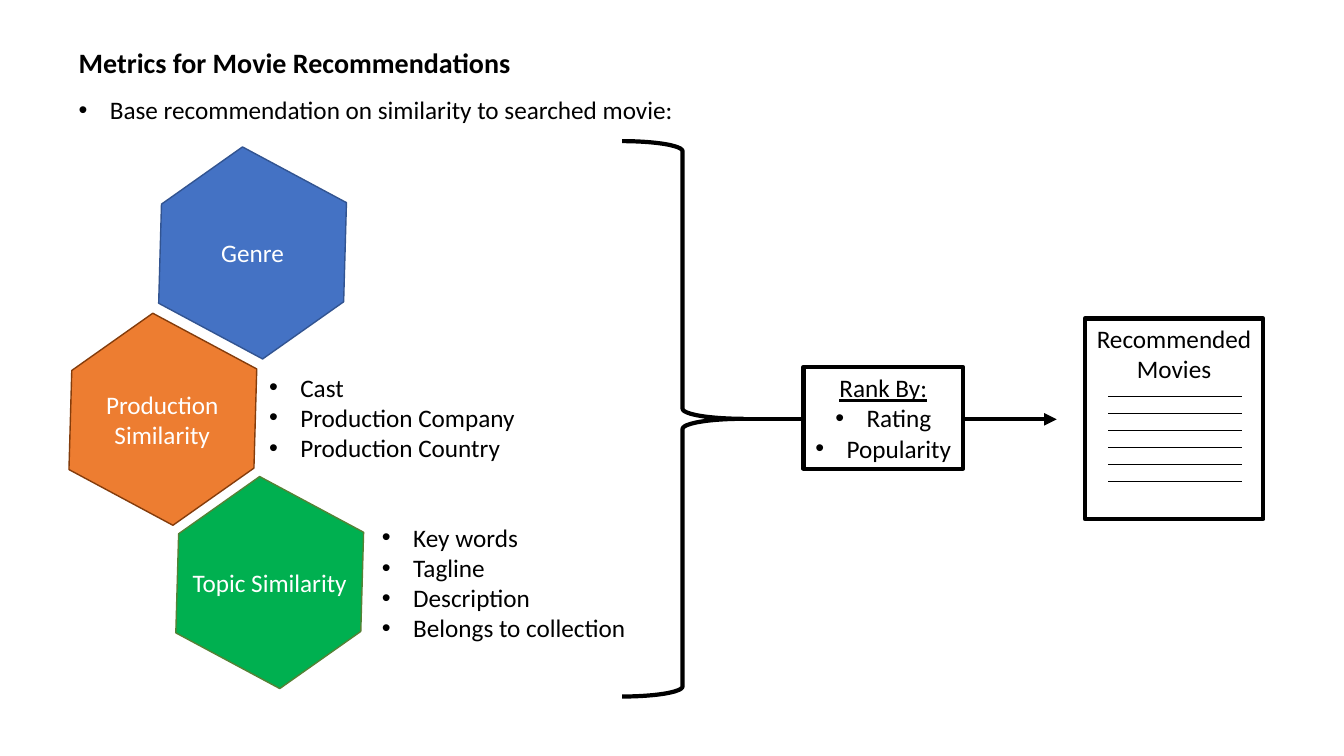
"""Build the slide on metrics for movie recommendations."""
from lxml import etree
from pptx import Presentation
from pptx.dml.color import RGBColor
from pptx.enum.shapes import MSO_CONNECTOR, MSO_SHAPE
from pptx.enum.text import MSO_ANCHOR, MSO_AUTO_SIZE, PP_ALIGN
from pptx.oxml.ns import qn
from pptx.util import Inches, Pt

STRAIGHT = MSO_CONNECTOR.STRAIGHT
HEXAGON, BRACE, RECT = MSO_SHAPE.HEXAGON, MSO_SHAPE.RIGHT_BRACE, MSO_SHAPE.RECTANGLE
TOP, MIDDLE = MSO_ANCHOR.TOP, MSO_ANCHOR.MIDDLE
LEFT, CENTER = PP_ALIGN.LEFT, PP_ALIGN.CENTER
FIXED = MSO_AUTO_SIZE.NONE
BLACK = RGBColor(0x00, 0x00, 0x00)
WHITE = RGBColor(0xFF, 0xFF, 0xFF)
BLUE, NAVY = RGBColor(0x44, 0x72, 0xC4), RGBColor(0x32, 0x54, 0x91)
ORANGE, BROWN = RGBColor(0xED, 0x7D, 0x31), RGBColor(0x84, 0x3C, 0x0B)
GREEN, OLIVE = RGBColor(0x00, 0xB0, 0x50), RGBColor(0x54, 0x82, 0x35)


def write(shape, lines, color=BLACK, align=LEFT, size=18, margin=0, first=0, anchor=TOP, wrap=True):
    """Fill a shape with lines, bulleted from index first when margin is set."""
    frame = shape.text_frame
    frame.text = "\n".join(lines)
    frame.word_wrap, frame.auto_size = wrap, FIXED
    frame.vertical_anchor = anchor
    for i, para in enumerate(frame.paragraphs):
        para.alignment = align
        para.space_before = Pt(0)
        para.font.name, para.font.size = "Calibri", Pt(size)
        para.font.color.rgb = color
        if margin and i >= first:
            props = para._p.get_or_add_pPr()
            props.set("marL", str(Inches(margin)))
            props.set("indent", str(Inches(-0.31)))
            font = etree.Element(qn("a:buFont"), typeface="Arial")
            mark = etree.Element(qn("a:buChar"), char="•")
            spot = props.index(props.find(qn("a:defRPr")))
            props[spot:spot] = [font, mark]


def draw_line(x1, y1, x2, y2, width):
    """Draw a plain black line and return it."""
    line = shapes.add_connector(STRAIGHT, Inches(x1), Inches(y1), Inches(x2), Inches(y2))
    line.line.color.rgb, line.line.width = BLACK, Pt(width)
    etree.SubElement(line._element.spPr, qn("a:effectLst"))
    return line


deck = Presentation()
deck.slide_width, deck.slide_height = Inches(13.33), Inches(7.5)
slide = deck.slides.add_slide(deck.slide_layouts[1])
shapes = slide.shapes

title, body = slide.placeholders
for holder, box in ((title, (0.68, 0.4, 4.52, 0.44)), (body, (0.68, 0.89, 9.09, 0.4))):
    holder.left, holder.top, holder.width, holder.height = map(Inches, box)
write(title, ["Metrics for Movie Recommendations"], size=20, wrap=False)
title.text_frame.paragraphs[0].font.bold = True
write(body, ["Base recommendation on similarity to searched movie:"], margin=0.31)

metrics = (
    ("Genre", 1.48, 1.63, BLUE, NAVY, (2.09, 2.31, 0.83, 0.4), False),
    ("Production Similarity", 0.59, 3.28, ORANGE, BROWN, (0.71, 3.81, 1.8, 0.71), True),
    ("Topic Similarity", 1.65, 4.9, GREEN, OLIVE, (1.8, 5.58, 1.75, 0.4), False),
)
for name, x, y, fill, edge, box, wrap in metrics:
    cell = shapes.add_shape(HEXAGON, Inches(x), Inches(y), Inches(2.05), Inches(1.76))
    cell.rotation = 28.2
    cell.shadow.inherit = False
    cell.fill.solid()
    cell.fill.fore_color.rgb = fill
    cell.line.color.rgb, cell.line.width = edge, Pt(1)
    label = shapes.add_textbox(*map(Inches, box))
    write(label, [name], WHITE, CENTER, wrap=wrap)

details = (
    ((3.19, 5.13, 3.37, 1.31), 0.81, ["Key words", "Tagline", "Description", "Belongs to collection"]),
    ((2.57, 3.64, 3.01, 1.01), 0.31, ["Cast", "Production Company", "Production Country"]),
)
for box, margin, lines in details:
    write(shapes.add_textbox(*map(Inches, box)), lines, margin=margin)

arrow = draw_line(7.37, 4.16, 10.48, 4.16, 3)
etree.SubElement(arrow.line._get_or_add_ln(), qn("a:tailEnd"), type="triangle")

frames = []
for kind, box in (
    (BRACE, (6.17, 1.4, 1.2, 5.51)),
    (RECT, (7.97, 3.64, 1.58, 1.01)),
    (RECT, (10.76, 3.16, 1.77, 1.99)),
):
    frame = shapes.add_shape(kind, *map(Inches, box))
    frame.shadow.inherit = False
    frame.line.color.rgb, frame.line.width = BLACK, Pt(3)
    if kind == BRACE:
        frame.fill.background()
    else:
        frame.fill.solid()
        frame.fill.fore_color.rgb = WHITE
    frames.append(frame)
brace, rank, page = frames

write(rank, ["Rank By:", "Rating", "Popularity"], align=CENTER, margin=0.31, first=1, anchor=MIDDLE)
rank.text_frame.paragraphs[0].font.underline = True
write(page, ["Recommended Movies"], align=CENTER)

for i in range(6):
    y = 3.93 + 0.17 * i
    draw_line(10.99, y, 12.32, y, 0.5)

deck.save("out.pptx")
